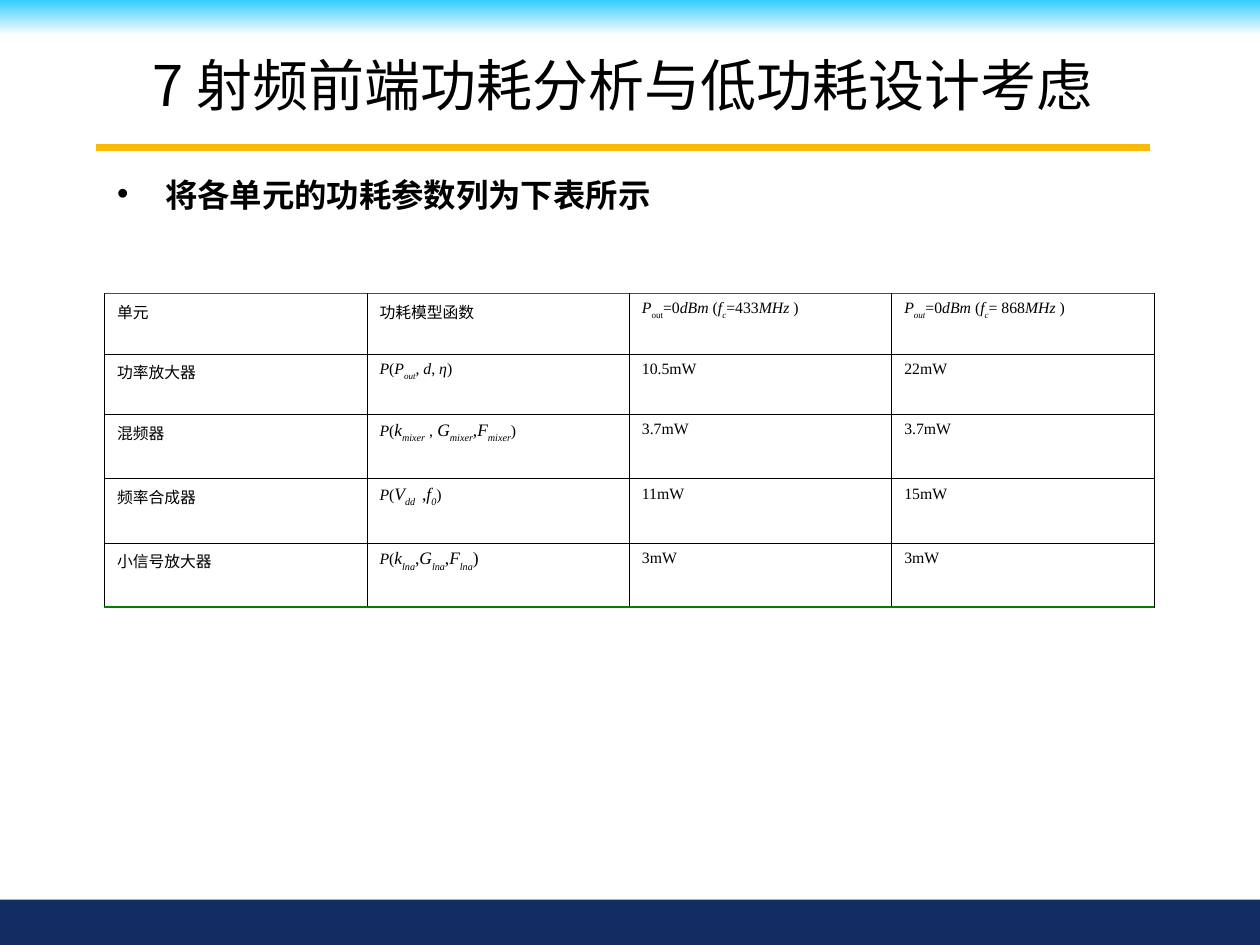
import pptx
import pptx.dml.color
import pptx.enum.shapes
import pptx.enum.text
import pptx.oxml
import pptx.oxml.ns
import pptx.util
from pptx.util import Inches

RGB = pptx.dml.color.RGBColor
BLACK = RGB(0x00, 0x00, 0x00)
WHITE = RGB(0xFF, 0xFF, 0xFF)
SKY = RGB(0x33, 0xCC, 0xFF)
NAVY = RGB(0x12, 0x2D, 0x62)
GOLD = RGB(0xFB, 0xBA, 0x03)
GREEN = RGB(0x00, 0x80, 0x00)
SANS, SERIF = "Noto Sans CJK SC", "Times New Roman"

TITLE = {"size": pptx.util.Pt(32), "name": SANS, "bold": False}
BODY = {"size": pptx.util.Pt(18.5), "name": SERIF, "bold": True}
CELL = {"size": pptx.util.Pt(9), "name": SERIF, "bold": False}

# Cells are plain text or runs of (text, marks): i italic, _ subscript, + larger.
HEAD_433 = [("P", "i"), ("out", "_"), ("=0", ""), ("dBm", "i"), (" (", ""),
            ("f", "i"), ("c", "i_"), ("=433", ""), ("MHz ", "i"), (")", "")]
HEAD_868 = [("P", "i"), ("out", "i_"), ("=0", ""), ("dBm", "i"), (" (", ""),
            ("f", "i"), ("c", "i_"), ("= 868", ""), ("MHz ", "i"), (")", "")]
AMPLIFIER = [("P", "i"), ("(", ""), ("P", "i"), ("out", "i_"), (",", ""),
             (" d", "i"), (",", ""), (" η", "i"), (")", "")]
MIXER = [("P", "i"), ("(", ""), ("k", "i+"), ("mixer", "i_+"), (" ,", ""),
         (" G", "i+"), ("mixer", "i_+"), (",", "+"), ("F", "i+"),
         ("mixer", "i_+"), (")", "")]
SYNTHESIZER = [("P", "i"), ("(", ""), ("V", "i+"), ("dd ", "i_+"), (" ,", "+"),
               ("f", "i+"), ("0", "i_+"), (")", "")]
LNA = [("P", "i"), ("(", ""), ("k", "i+"), ("lna", "i_+"), (",", "+"),
       ("G", "i+"), ("lna", "i_+"), (",", "+"), ("F", "i+"),
       ("lna", "i_+"), (")", "+")]
ROWS = [
    ["单元", "功耗模型函数", HEAD_433, HEAD_868],
    ["功率放大器", AMPLIFIER, "10.5mW", "22mW"],
    ["混频器", MIXER, "3.7mW", "3.7mW"],
    ["频率合成器", SYNTHESIZER, "11mW", "15mW"],
    ["小信号放大器", LNA, "3mW", "3mW"],
]
ROW_HEIGHTS = [0.48, 0.48, 0.51, 0.51, 0.51]


class SlideBuilder:
    def __init__(self, slide):
        self.s = slide

    def run(self, p, text, style, marks=""):
        r = p.add_run()
        r.text = text
        for key, value in style.items():
            setattr(r.font, key, value)
        r.font.color.rgb = BLACK
        rPr = r._r.get_or_add_rPr()
        if "i" in marks:
            r.font.italic = True
        if "+" in marks:
            r.font.size = pptx.util.Pt(10)
        if "_" in marks:
            rPr.set("baseline", "-30000")
        ea = pptx.oxml.ns.qn("a:ea")
        rPr.makeelement(ea)
        rPr.find(pptx.oxml.ns.qn("a:latin")).addnext(
            rPr.makeelement(ea, {"typeface": SANS}))

    def band(self, top, height, *colors):
        """Full-width bar, solid for one colour and a downward gradient for two."""
        sp = self.s.shapes.add_shape(pptx.enum.shapes.MSO_SHAPE.RECTANGLE,
                                     0, Inches(top), Inches(10), Inches(height))
        sp.shadow.inherit = False
        sp.line.fill.background()
        if len(colors) == 1:
            sp.fill.solid()
            sp.fill.fore_color.rgb = colors[0]
        else:
            sp.fill.gradient()
            sp.fill.gradient_angle = 270
            for stop, color in zip(sp.fill.gradient_stops, colors):
                stop.color.rgb = color

    def rule(self, left, right, y, color, width):
        line = self.s.shapes.add_connector(
            pptx.enum.shapes.MSO_CONNECTOR.STRAIGHT,
            Inches(left), Inches(y), Inches(right), Inches(y))
        line.line.color.rgb = color
        line.line.width = pptx.util.Pt(width)
        spPr = line._element.spPr
        spPr.append(spPr.makeelement(pptx.oxml.ns.qn("a:effectLst")))

    def placeholder(self, sp, box, text, style):
        for name, value in zip(("left", "top", "width", "height"), box):
            setattr(sp, name, Inches(value))
        sp.text_frame.auto_size = pptx.enum.text.MSO_AUTO_SIZE.NONE
        p = sp.text_frame.paragraphs[0]
        p.space_before = pptx.util.Pt(0)
        self.run(p, text, style)
        return p

    def title(self, box, text):
        p = self.placeholder(self.s.shapes.title, box, text, TITLE)
        p.alignment = pptx.enum.text.PP_ALIGN.CENTER

    def bullet(self, box, text):
        p = self.placeholder(self.s.placeholders[1], box, text, BODY)
        p.line_spacing = 0.7
        pPr = p._p.get_or_add_pPr()
        pPr.set("marL", str(Inches(0.38)))
        pPr.set("indent", str(-Inches(0.38)))
        pPr.append(pPr.makeelement(pptx.oxml.ns.qn("a:buChar"), {"char": "•"}))

    def borders(self, cell, top, bottom):
        side = (BLACK, 0.34)
        tcPr = cell._tc.get_or_add_tcPr()
        edges = zip("LRTB", (side, side, top, bottom))
        for i, (edge, (color, width)) in enumerate(edges):
            tcPr.insert(i, pptx.oxml.parse_xml(
                f'<a:ln{edge} {pptx.oxml.ns.nsdecls("a")} w="{pptx.util.Pt(width)}">'
                f'<a:solidFill><a:srgbClr val="{color}"/></a:solidFill></a:ln{edge}>'))

    def table(self, left, top, width, rows, heights):
        columns = len(rows[0])
        table = self.s.shapes.add_table(
            len(rows), columns, Inches(left), Inches(top),
            Inches(width), Inches(sum(heights))).table
        table.first_row = table.horz_banding = False
        for column in table.columns:
            column.width = Inches(width / columns)
        outer, header, inner = (GREEN, 0.96), (BLACK, 0.45), (BLACK, 0.34)
        lines = [outer, header] + [inner] * (len(rows) - 2) + [outer]
        for i, row in enumerate(rows):
            table.rows[i].height = Inches(heights[i])
            for j, content in enumerate(row):
                cell = table.cell(i, j)
                cell.fill.background()
                self.borders(cell, lines[i], lines[i + 1])
                runs = [(content, "")] if isinstance(content, str) else content
                for text, marks in runs:
                    self.run(cell.text_frame.paragraphs[0], text, CELL, marks)


def main():
    prs = pptx.Presentation()
    prs.slide_width, prs.slide_height = Inches(10), Inches(7.5)
    b = SlideBuilder(prs.slides.add_slide(prs.slide_layouts[1]))
    b.band(0, 0.28, SKY, WHITE)
    b.band(7.14, 0.36, NAVY)
    b.rule(0.76, 9.13, 1.17, GOLD, 3.75)
    b.title((0.75, 0.33, 8.39, 0.67), "7 射频前端功耗分析与低功耗设计考虑")
    b.bullet((0.83, 1.42, 8.33, 0.33), "将各单元的功耗参数列为下表所示")
    b.table(0.83, 2.33, 8.33, ROWS, ROW_HEIGHTS)
    prs.save("out.pptx")


if __name__ == "__main__":
    main()
